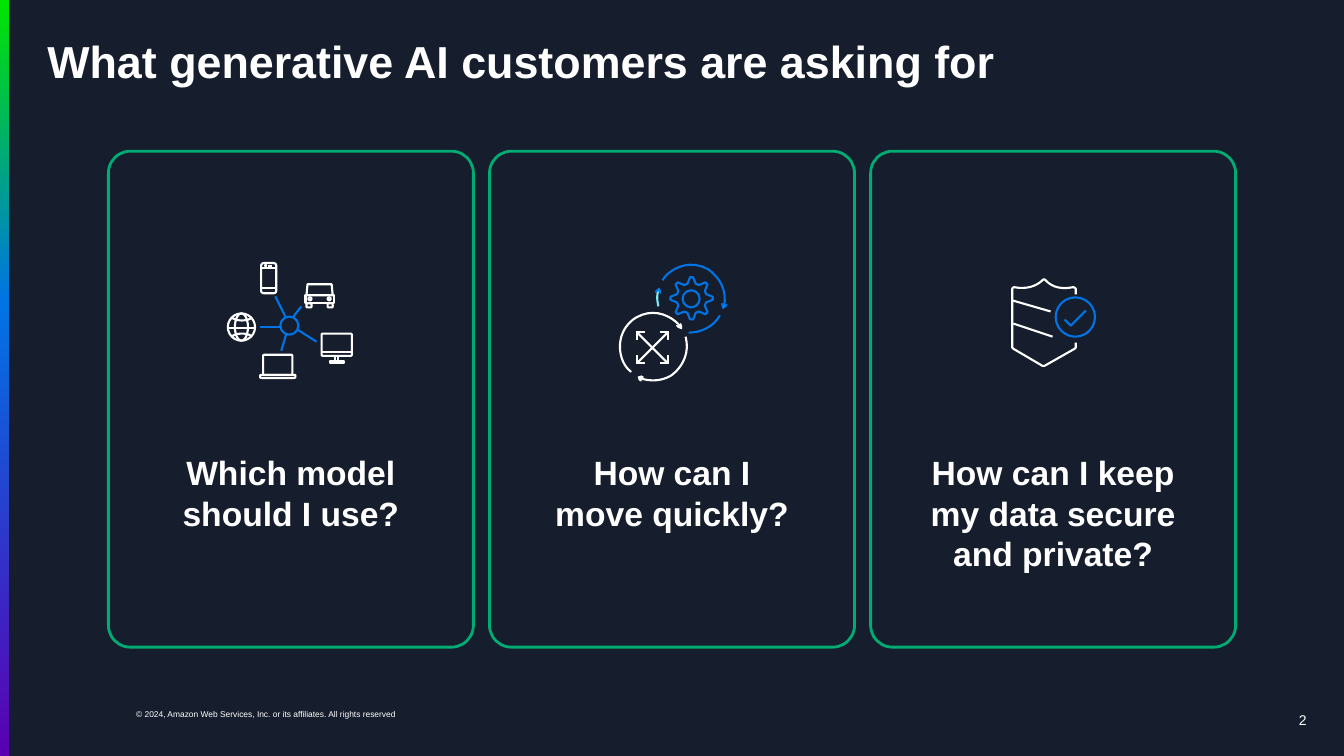
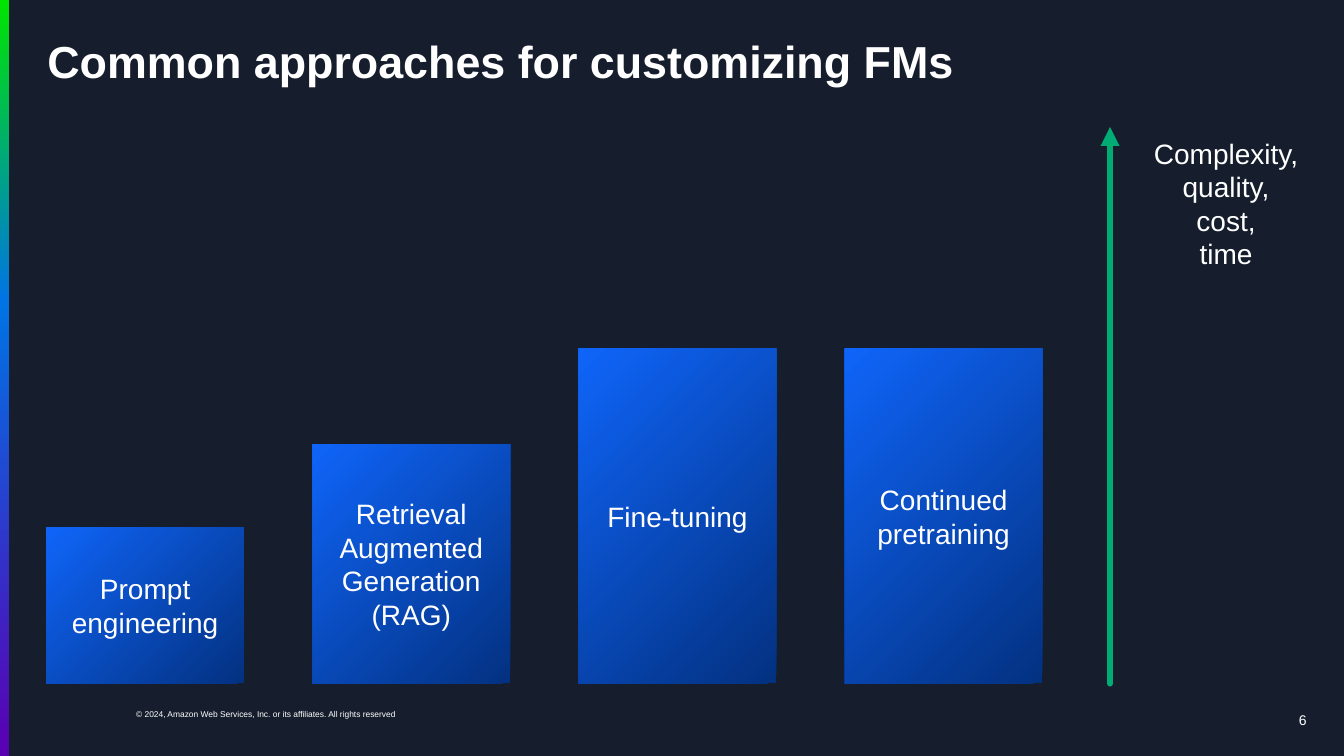
from itertools import product
from math import cos, radians, sin

from lxml import etree
from pptx import Presentation
from pptx.dml.color import RGBColor
from pptx.enum import shapes, text
from pptx.oxml.ns import qn
from pptx.util import Inches, Pt

# Theme
THEME = {
    "font": "Arial",
    "color": {"dark": "161E2D", "white": "FFFFFF", "green": "00AC73",
              "blue": "0073E5", "cyan": "7CE8F4"},
    "band": ([(0, "00E500"), (40, "0073E5"), (100, "5900B2")], 90),
    "bar": ([(0, "033181"), (100, "0F65F9")], 225),
    "size": {"title": 32, "question": 24, "body": 20, "number": 10, "footer": 6},
    "width": {"card": 2, "icon": 1.5, "head": 0.75, "axis": 4.5},
}
COLOR, SIZE, WIDTH = THEME["color"], THEME["size"], THEME["width"]
SLIDE_W, SLIDE_H = 13.33, 7.5
CENTER, RIGHT = text.PP_ALIGN.CENTER, text.PP_ALIGN.RIGHT
MIDDLE = text.MSO_ANCHOR.MIDDLE
PRESET = {"rect": shapes.MSO_SHAPE.RECTANGLE, "ellipse": shapes.MSO_SHAPE.OVAL,
          "round": shapes.MSO_SHAPE.ROUNDED_RECTANGLE}

# Content
FOOTER = "© 2024, Amazon Web Services, Inc. or its affiliates. All rights reserved"
QUESTIONS_TITLE = "What generative AI customers are asking for"
APPROACHES_TITLE = "Common approaches for customizing FMs"
APPROACHES = [  # lines of text, bar height
    (["Prompt", "engineering"], 1.55),
    (["Retrieval", "Augmented", "Generation", "(RAG)"], 2.37),
    (["Fine-tuning"], 3.32),
    (["Continued pretraining"], 3.32),
]
AXIS_LABEL = ["Complexity,", "quality,", "cost,", "time"]

# Icons: (kind, colour, geometry); in a path, 2 numbers are a line, 6 a curve
DEVICES = [
    # laptop and monitor
    ("path", "white", [(2.58, 3.72), (2.58, 3.74), (2.58, 3.75, 2.59, 3.75, 2.6, 3.75),
                       (2.91, 3.75), (2.92, 3.75, 2.93, 3.75, 2.93, 3.74),
                       (2.93, 3.72), (2.58, 3.72)]),
    ("round", "white", (2.61, 3.52, 0.29, 0.2, 0.05)),
    ("round", "white", (3.19, 3.31, 0.3, 0.22, 0.05)),
    ("line", "white", (3.19, 3.49, 3.49, 3.49)),
    ("rect", "white", (3.32, 3.53, 0.03, 0.05)),
    ("rect", "white", (3.27, 3.58, 0.14, 0.02)),
    # globe
    ("path", "white", [(2.3, 3.15), (2.34, 3.19, 2.46, 3.19, 2.5, 3.15)]),
    ("path", "white", [(2.3, 3.34), (2.34, 3.3, 2.46, 3.3, 2.5, 3.34)]),
    ("ellipse", "white", (2.26, 3.11, 0.27, 0.27)),
    ("ellipse", "white", (2.33, 3.11, 0.13, 0.27)),
    ("line", "white", (2.26, 3.25, 2.53, 3.25)),
    # phone
    ("rect", "white", (2.59, 2.66, 0.15, 0.2)),
    ("line", "white", (2.7, 2.64, 2.66, 2.64)),
    ("ellipse", "white", (2.63, 2.63, 0.01, 0.01)),
    ("round", "white", (2.59, 2.61, 0.15, 0.3, 0.17)),
    # hub
    ("ellipse", "blue", (2.78, 3.14, 0.18, 0.18)),
    *[("line", "blue", ends) for ends in [
        (2.79, 3.48, 2.84, 3.31), (2.58, 3.24, 2.78, 3.24), (2.73, 2.94, 2.83, 3.14),
        (2.99, 3.04, 2.91, 3.14), (3.14, 3.39, 2.95, 3.27)]],
    # car
    ("path", "white", [(3.3, 2.93), (3.04, 2.93), (3.05, 2.82), (3.29, 2.82), (3.3, 2.93)]),
    ("rect", "white", (3.03, 2.93, 0.28, 0.08)),
    *[("ellipse", "white", (x, 2.95, 0.03, 0.03)) for x in (3.06, 3.25)],
    *[("round", "white", (x, 3.01, 0.05, 0.04, 0.2)) for x in (3.04, 3.25)],
]


def gear(cx, cy, teeth=8, inner=0.15, outer=0.21):
    """Closed outline of a gear."""
    profile = [(-16, inner), (-4, outer), (4, outer), (16, inner)]
    pts = [(cx + r * sin(radians(360 / teeth * i + a)),
            cy - r * cos(radians(360 / teeth * i + a)))
           for i in range(teeth) for a, r in profile]
    return pts + pts[:1]


def expand_arrows(cx, cy):
    """Two crossing diagonals with a bracket at each of four corners."""
    bracket = [(0.16, 0.08), (0.15, 0.08), (0.15, 0.15), (0.08, 0.15),
               (0.08, 0.16), (0.16, 0.16)]
    diagonals = [("line", "white", (cx - 0.15, cy - d, cx + 0.15, cy + d))
                 for d in (0.15, -0.15)]
    return diagonals + [
        ("head", "white", [(cx + sx * x, cy + sy * y) for x, y in bracket])
        for sx, sy in product((-1, 1), repeat=2)]


CYCLES = [
    ("path", "blue", gear(6.86, 2.96)),
    ("ellipse", "blue", (6.77, 2.88, 0.17, 0.17)),
    ("path", "blue", [(6.57, 2.78), (6.63, 2.68, 6.82, 2.56, 7.02, 2.67),
                      (7.11, 2.73, 7.22, 2.86, 7.18, 3.04)]),
    ("path", "blue", [(6.83, 3.3), (6.98, 3.3, 7.09, 3.22, 7.14, 3.13)]),
    ("path", "cyan", [(6.53, 3.04), (6.52, 2.99, 6.51, 2.94, 6.53, 2.88)]),
    ("head", "cyan", [(7.16, 3.01), (7.18, 3.04), (7.21, 3.02), (7.2, 3.04),
                      (7.17, 3.06), (7.16, 3.03)]),
    ("head", "cyan", [(6.55, 2.91), (6.53, 2.88), (6.5, 2.9), (6.51, 2.88),
                      (6.54, 2.86), (6.55, 2.89)]),
    ("path", "white", [(6.75, 3.24), (6.68, 3.15, 6.5, 3.04, 6.31, 3.15),
                       (6.24, 3.19, 6.16, 3.28, 6.15, 3.41),
                       (6.15, 3.41, 6.13, 3.59, 6.26, 3.69)]),
    ("path", "white", [(6.34, 3.75), (6.43, 3.78, 6.54, 3.79, 6.65, 3.73),
                       (6.74, 3.67, 6.85, 3.53, 6.8, 3.34)]),
    ("head", "white", [(6.75, 3.21), (6.75, 3.24), (6.71, 3.23), (6.73, 3.25),
                       (6.76, 3.26), (6.76, 3.23)]),
    ("head", "white", [(6.36, 3.78), (6.35, 3.75), (6.38, 3.74), (6.36, 3.73),
                       (6.33, 3.74), (6.34, 3.77)]),
    *expand_arrows(6.47, 3.45),
]
SHIELD = [
    ("path", "white", [
        (10.67, 2.92), (10.67, 2.87), (10.67, 2.86, 10.66, 2.85, 10.64, 2.85),
        (10.59, 2.86, 10.46, 2.88, 10.37, 2.78), (10.36, 2.77, 10.35, 2.77, 10.34, 2.78),
        (10.31, 2.81, 10.22, 2.88, 10.06, 2.85), (10.05, 2.85, 10.04, 2.86, 10.04, 2.87),
        (10.04, 3.45), (10.05, 3.46), (10.34, 3.63), (10.36, 3.63), (10.66, 3.46),
        (10.67, 3.45), (10.67, 3.4)]),
    ("line", "white", (10.05, 3.21, 10.44, 3.34)),
    ("line", "white", (10.04, 2.98, 10.42, 3.09)),
    ("ellipse", "blue", (10.47, 2.95, 0.39, 0.39)),
    ("path", "blue", [(10.56, 3.17), (10.62, 3.23), (10.77, 3.08)]),
]
QUESTIONS = [  # question, text height, icon
    ("Which model should I use?", 0.81, DEVICES),
    ("How can I\nmove quickly?", 0.81, CYCLES),
    ("How can I keep my data secure and private?", 1.21, SHIELD),
]


# Drawing helpers
def rgb(name):
    return RGBColor.from_string(COLOR[name])


def write(tf, lines, size, bold=False, align=None, anchor=None, inset=0, spacing=None):
    frame = {"word_wrap": True, "vertical_anchor": anchor or text.MSO_ANCHOR.TOP}
    frame.update({f"margin_{side}": Inches(inset)
                  for side in ("left", "top", "right", "bottom")})
    for name, value in frame.items():
        setattr(tf, name, value)
    for i, line in enumerate(lines):
        p = tf.add_paragraph() if i else tf.paragraphs[0]
        p.text, p.alignment, p.line_spacing = line, align, spacing
        for r in p.runs:
            font = {"name": THEME["font"], "size": Pt(SIZE[size]), "bold": bold}
            for name, value in font.items():
                setattr(r.font, name, value)
            r.font.color.rgb = rgb("white")


def add_text(s, box, lines, size, **style):
    write(s.shapes.add_textbox(*map(Inches, box)).text_frame, lines, size, **style)


def stroke(sp, color, width):
    sp.line.color.rgb, sp.line.width = rgb(color), Pt(width)


def add_preset(parent, kind, box, adj=None):
    sp = parent.shapes.add_shape(PRESET[kind], *map(Inches, box))
    sp.shadow.inherit = False
    sp.fill.background()
    sp.line.fill.background()
    if adj is not None:
        sp.adjustments[0] = adj
    return sp


def add_line(parent, ends, color, width):
    sp = parent.shapes.add_connector(shapes.MSO_CONNECTOR.STRAIGHT, *map(Inches, ends))
    stroke(sp, color, width)
    etree.SubElement(sp._element.spPr, qn("a:effectLst"))
    return sp


def fill_gradient(sp, gradient):
    stops, angle = gradient
    sp.fill.gradient()
    sp.fill.gradient_angle = 360 - angle
    stop_list = sp._element.spPr.find(".//" + qn("a:gsLst"))
    for stop in list(stop_list):
        stop_list.remove(stop)
    for pos, color in stops:
        stop = etree.SubElement(stop_list, qn("a:gs"), pos=str(pos * 1000))
        etree.SubElement(stop, qn("a:srgbClr"), val=color)


def flatten(points, steps=10):
    """Turn curve steps into short lines."""
    flat = []
    for pt in points:
        if len(pt) == 2:
            flat.append(pt)
            continue
        ctrl = [flat[-1], pt[:2], pt[2:4], pt[4:]]
        for t in (i / steps for i in range(1, steps + 1)):
            weights = ((1 - t) ** 3, 3 * t * (1 - t) ** 2, 3 * t * t * (1 - t), t ** 3)
            flat.append(tuple(sum(w * c[axis] for w, c in zip(weights, ctrl))
                              for axis in (0, 1)))
    return flat


def add_path(parent, points, close):
    first, *rest = [tuple(map(Inches, pt)) for pt in flatten(points)]
    builder = parent.shapes.build_freeform(*first)
    builder.add_line_segments(rest, close=close or rest[-1] == first)
    sp = builder.convert_to_shape()
    sp.shadow.inherit = False
    sp.fill.background()
    return sp


def add_icon(s, parts):
    group = s.shapes.add_group_shape()
    for kind, color, geometry in parts:
        if kind == "line":
            add_line(group, geometry, color, WIDTH["icon"])
        elif kind == "head":
            sp = add_path(group, geometry, True)
            sp.fill.solid()
            sp.fill.fore_color.rgb = rgb(color)
            stroke(sp, "blue" if color == "cyan" else color, WIDTH["head"])
        else:
            sp = (add_path(group, geometry, False) if kind == "path"
                  else add_preset(group, kind, geometry[:4], *geometry[4:]))
            stroke(sp, color, WIDTH["icon"])


# Slides
def new_slide(prs, title, number):
    s = prs.slides.add_slide(prs.slide_layouts[6])
    s.background.fill.solid()
    s.background.fill.fore_color.rgb = rgb("dark")
    fill_gradient(add_preset(s, "rect", (0, 0, 0.09, SLIDE_H)), THEME["band"])
    add_text(s, (1.3, 6.99, 3, 0.2), [FOOTER], "footer", inset=0.05)
    add_text(s, (12.46, 7.06, 0.5, 0.17), [number], "number", align=RIGHT, anchor=MIDDLE)
    add_text(s, (0.47, 0.39, 12.5, 0.7), [title], "title", bold=True, spacing=0.9)
    return s


def questions_slide(prs):
    s = new_slide(prs, QUESTIONS_TITLE, "2")
    card_w, gap, text_w = 3.62, 0.16, 2.76
    count = len(QUESTIONS)
    left = (SLIDE_W - count * card_w - (count - 1) * gap) / 2
    for i, (question, height, icon) in enumerate(QUESTIONS):
        x = left + i * (card_w + gap)
        stroke(add_preset(s, "round", (x, 1.5, card_w, 4.92), 0.06), "green", WIDTH["card"])
        add_text(s, (x + (card_w - text_w) / 2, 4.48, text_w, height), [question],
                 "question", bold=True, align=CENTER, anchor=MIDDLE)
        add_icon(s, icon)


def approaches_slide(prs):
    s = new_slide(prs, APPROACHES_TITLE, "6")
    left, bar_w, pitch, base = 0.46, 1.96, 2.64, 6.78
    for i, (lines, height) in enumerate(APPROACHES):
        bar = add_preset(s, "rect", (left + i * pitch, base - height, bar_w, height))
        fill_gradient(bar, THEME["bar"])
        write(bar.text_frame, lines, "body", align=CENTER, anchor=MIDDLE, inset=0.1)
    add_text(s, (11.35, 1.35, 1.62, 1.33), AXIS_LABEL, "body", align=CENTER)
    axis = add_line(s, (11.01, base, 11.01, 1.26), "green", WIDTH["axis"])
    ln = axis.line._get_or_add_ln()
    ln.set("cap", "rnd")
    etree.SubElement(ln, qn("a:tailEnd"), type="triangle")


def main():
    prs = Presentation()
    prs.slide_width, prs.slide_height = Inches(SLIDE_W), Inches(SLIDE_H)
    questions_slide(prs)
    approaches_slide(prs)
    prs.save("out.pptx")


if __name__ == "__main__":
    main()
